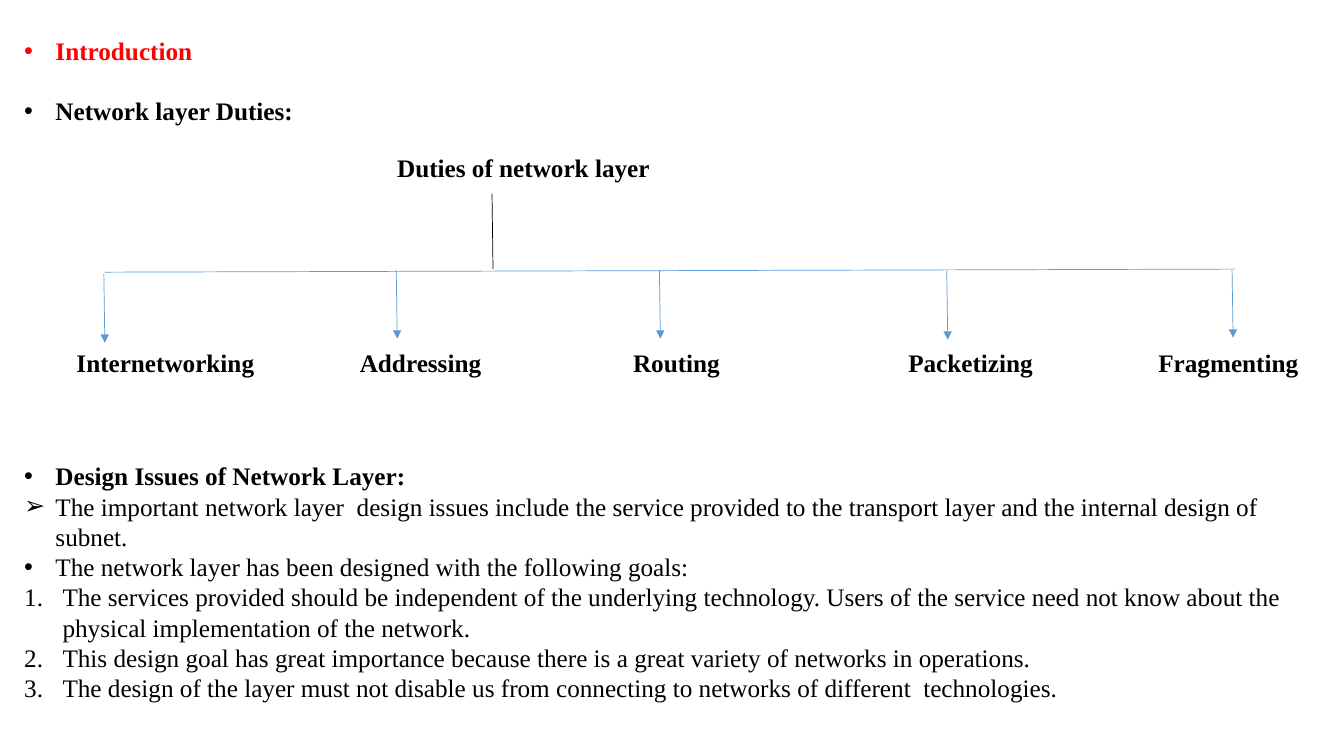
from dataclasses import dataclass

import pptx
import pptx.dml.color
import pptx.enum.shapes
import pptx.enum.text
import pptx.oxml
import pptx.oxml.ns
import pptx.util
from pptx.util import Inches

COLORS = {"heading": "FF0000", "text": "000000", "arrow": "5B9BD5"}
FONT = "Times New Roman"
LABEL_TOP = 3.4
LABEL_HEIGHT = 0.4
ARROW_DROP = 0.68
ARROW_SHIFT = 0.01


@dataclass
class Item:
    text: str
    bullet: str = "•"
    bold: bool = False
    color: str = "text"
    indent: float = 0.31


@dataclass
class Duty:
    name: str
    left: float
    arrow_left: float
    arrow_top: float
    width: float = 3.19


DUTIES = [
    Duty("Internetworking", 0.66, 1.03, 2.72),
    Duty("Addressing", 3.47, 3.93, 2.68),
    Duty("Routing", 6.18, 6.54, 2.68),
    Duty("Packetizing", 8.91, 9.39, 2.69),
    Duty("Fragmenting", 11.39, 12.22, 2.67, 1.71),
]

GOALS = [
    "The services provided should be independent of the underlying technology. "
    "Users of the service need not know about the physical implementation of the network.",
    "This design goal has great importance because there is a great variety of "
    "networks in operations.",
    "The design of the layer must not disable us from connecting to networks of "
    "different  technologies.",
]

DESIGN_ISSUES = [
    Item("Design Issues of Network Layer:", bold=True),
    Item("The important network layer  design issues include the service provided to "
         "the transport layer and the internal design of subnet.", "➢"),
    Item("The network layer has been designed with the following goals:"),
    *(Item(goal, "1.", indent=0.38) for goal in GOALS),
]


def add_element(parent, tag: str, **attributes: str):
    element = pptx.oxml.parse_xml(f"<{tag} {pptx.oxml.ns.nsdecls('a')}/>")
    for name, value in attributes.items():
        element.set(name, value)
    parent.append(element)
    return element


def format_paragraph(p, bold: bool, color: str) -> None:
    p.alignment = pptx.enum.text.PP_ALIGN.LEFT
    p.space_before = pptx.util.Pt(0)
    p.font.name = FONT
    p.font.size = pptx.util.Pt(18)
    p.font.bold = bold
    p.font.color.rgb = pptx.dml.color.RGBColor.from_string(COLORS[color])


def add_bullet(p, item: Item) -> None:
    pPr = p._p.get_or_add_pPr()
    pPr.set("marL", str(Inches(item.indent)))
    pPr.set("indent", str(-Inches(item.indent)))
    if item.bullet == "1.":
        add_element(pPr, "a:buFont", typeface="+mj-lt")
        add_element(pPr, "a:buAutoNum", type="arabicPeriod")
    else:
        add_element(pPr, "a:buFont", typeface="Arial")
        add_element(pPr, "a:buChar", char=item.bullet)


def fill_list(sp, left: float, top: float, width: float, height: float,
              items: list[Item]) -> None:
    sp.left, sp.top = Inches(left), Inches(top)
    sp.width, sp.height = Inches(width), Inches(height)
    tf = sp.text_frame
    tf.word_wrap = True
    tf.auto_size = pptx.enum.text.MSO_AUTO_SIZE.NONE
    tf.vertical_anchor = pptx.enum.text.MSO_ANCHOR.TOP
    for i, item in enumerate(items):
        p = tf.add_paragraph() if i else tf.paragraphs[0]
        add_bullet(p, item)
        format_paragraph(p, item.bold, item.color)
        p.add_run().text = item.text


def add_label(s, text: str, left: float, top: float, width: float) -> None:
    sp = s.shapes.add_textbox(Inches(left), Inches(top), Inches(width), Inches(LABEL_HEIGHT))
    tf = sp.text_frame
    tf.word_wrap = True
    p = tf.paragraphs[0]
    format_paragraph(p, True, "text")
    p.add_run().text = text


def add_line(s, x1: float, y1: float, x2: float, y2: float, color: str,
             arrow: bool = False) -> None:
    line = s.shapes.add_connector(pptx.enum.shapes.MSO_CONNECTOR.STRAIGHT,
                                  Inches(x1), Inches(y1), Inches(x2), Inches(y2))
    line.line.color.rgb = pptx.dml.color.RGBColor.from_string(COLORS[color])
    line.line.width = pptx.util.Pt(0.5)
    if arrow:
        add_element(line.line._get_or_add_ln(), "a:tailEnd", type="triangle")
    add_element(line._element.spPr, "a:effectLst")


def main() -> None:
    prs = pptx.Presentation()
    prs.slide_width, prs.slide_height = Inches(13.33), Inches(7.5)
    s = prs.slides.add_slide(prs.slide_layouts.get_by_name("Two Content"))
    title, duties, issues = list(s.placeholders)[:3]

    fill_list(title, 0.14, 0.3, 12.11, 0.4,
              [Item("Introduction", bold=True, color="heading")])
    fill_list(duties, 0.14, 0.9, 12.11, 0.4, [Item("Network layer Duties:", bold=True)])
    fill_list(issues, 0.14, 4.52, 12.75, 2.52, DESIGN_ISSUES)

    add_label(s, "Duties of network layer", 3.84, 1.46, 3.19)
    add_line(s, 4.88, 1.92, 4.89, 2.67, "text")
    add_line(s, 1.04, 2.7, 12.25, 2.67, "arrow")
    for duty in DUTIES:
        add_label(s, duty.name, duty.left, LABEL_TOP, duty.width)
        add_line(s, duty.arrow_left, duty.arrow_top, duty.arrow_left + ARROW_SHIFT,
                 duty.arrow_top + ARROW_DROP, "arrow", arrow=True)

    prs.save("out.pptx")


if __name__ == "__main__":
    main()
